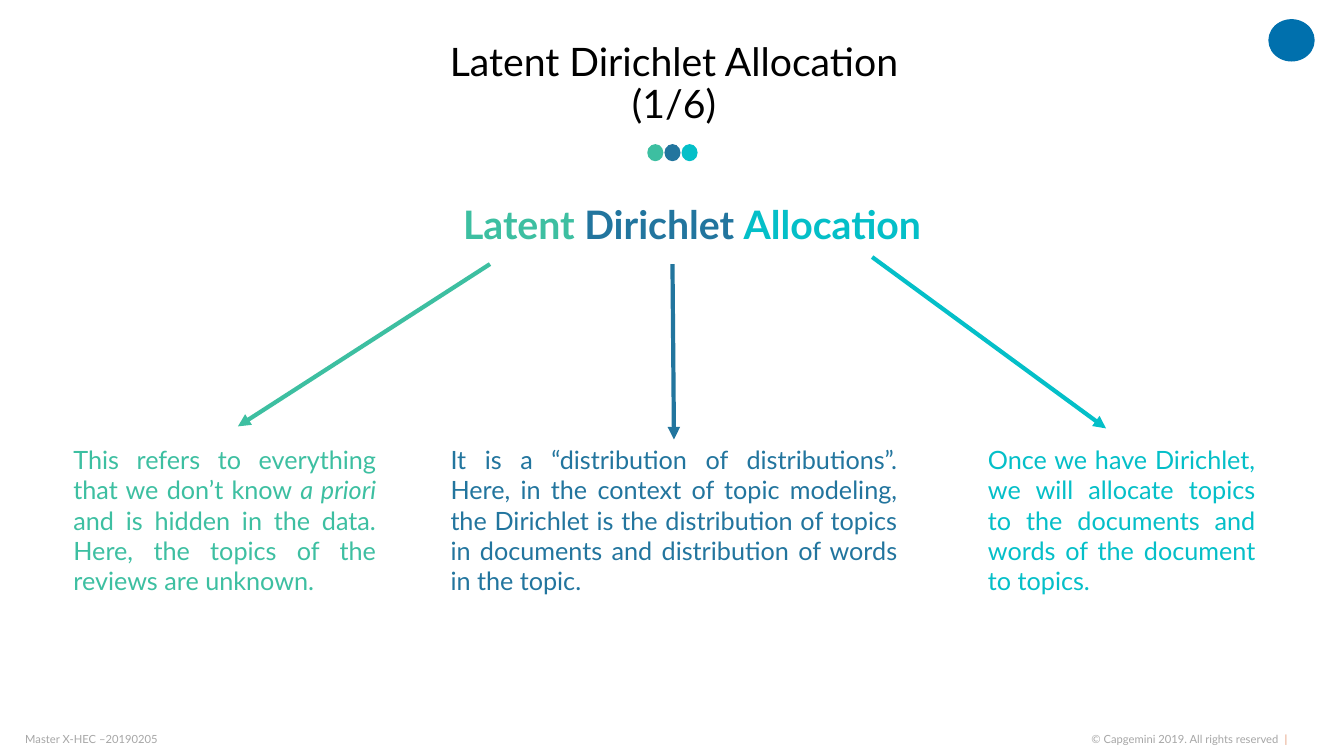
from dataclasses import dataclass
from typing import Optional

from lxml.etree import SubElement
from pptx import Presentation
from pptx.dml.color import RGBColor
from pptx.enum.shapes import MSO_CONNECTOR as Link, MSO_SHAPE as Form
from pptx.enum.text import MSO_ANCHOR as Anchor, MSO_AUTO_SIZE as Fit, PP_ALIGN as Align
from pptx.oxml.ns import qn
from pptx.shapes.autoshape import Shape
from pptx.util import Inches, Pt

GREEN = RGBColor(0x3D, 0xBF, 0xA1)
BLUE = RGBColor(0x22, 0x75, 0x9E)
CYAN = RGBColor(0x04, 0xBF, 0xC8)
BLACK = RGBColor(0, 0, 0)
GREY = RGBColor(0xA6, 0xA6, 0xA6)
ORANGE = RGBColor(0xE3, 0x97, 0x74)
NAVY = RGBColor(0x00, 0x70, 0xAD)
FONT = "Lato"
Point = tuple[float, float]
Area = tuple[float, float, float, float]


@dataclass
class Span:
    text: str
    color: RGBColor
    bold: bool = False
    italic: bool = False


@dataclass
class Label:
    area: Area
    spans: list[Span]
    size: int
    align: Align
    middle: bool = True
    inset: bool = True
    wrap: bool = True
    pitch: Optional[float] = None


@dataclass
class Branch:
    word: str
    color: RGBColor
    left: float
    width: float
    spans: list[Span]
    start: Point
    end: Point
    joined: bool = False


BRANCHES = [
    Branch("Latent ", GREEN, 0.63, 3.2, [
        Span("This refers to everything that we don’t know ", GREEN),
        Span("a priori ", GREEN, italic=True),
        Span("and is hidden in the data. Here, the topics of the reviews are unknown.", GREEN),
    ], (4.86, 2.62), (2.36, 4.23)),
    Branch("Dirichlet ", BLUE, 4.37, 4.63, [
        Span("It is a “distribution of distributions”. Here, in the context of topic "
             "modeling, the Dirichlet is the distribution of topics in documents and "
             "distribution of words in the topic.", BLUE),
    ], (6.67, 2.62), (6.69, 4.36), True),
    Branch("Allocation", CYAN, 9.7, 2.85, [
        Span("Once we have Dirichlet, we will allocate topics to the documents and "
             "words of the document to topics.", CYAN),
    ], (8.65, 2.55), (10.97, 4.25)),
]

LABELS = [
    Label((9.86, 7.27, 2.91, 0.13),
          [Span("© Capgemini 2019. All rights reserved  ", GREY), Span("|", ORANGE)],
          8, Align.RIGHT, inset=False),
    Label((0.25, 7.27, 5.16, 0.13), [Span("Master X-HEC –20190205", GREY)],
          8, Align.LEFT, inset=False, wrap=False),
    Label((0.45, 0.27, 12.47, 1.14), [Span("Latent Dirichlet Allocation\n(1/6)", BLACK)],
          28, Align.CENTER, pitch=0.9),
    Label((0.63, 1.68, 12.47, 1.14), [Span(b.word, b.color, bold=True) for b in BRANCHES],
          28, Align.CENTER, pitch=0.9),
]


def add_label(slide, label: Label) -> Shape:
    box = slide.shapes.add_textbox(*map(Inches, label.area))
    frame = box.text_frame
    frame.word_wrap = label.wrap
    frame.auto_size = Fit.NONE if label.middle else Fit.SHAPE_TO_FIT_TEXT
    frame.vertical_anchor = Anchor.MIDDLE if label.middle else Anchor.TOP
    if not label.inset:
        frame.margin_left = frame.margin_right = 0
        frame.margin_top = frame.margin_bottom = 0
    para = frame.paragraphs[0]
    para.alignment = label.align
    para.line_spacing = label.pitch
    para.font.size = Pt(label.size)
    for span in label.spans:
        count = len(para.runs)
        if count:
            para.add_run().text = span.text
        else:
            para.text = span.text
        for run in para.runs[count:]:
            font = run.font
            font.name = FONT
            font.size = Pt(label.size)
            font.bold = span.bold
            font.italic = span.italic
            font.color.rgb = span.color
    return box


def add_oval(slide, area: Area, color: RGBColor) -> None:
    oval = slide.shapes.add_shape(Form.OVAL, *map(Inches, area))
    oval.shadow.inherit = False
    oval.fill.solid()
    oval.fill.fore_color.rgb = color
    oval.line.fill.background()


def add_arrow(slide, branch: Branch, box: Shape) -> None:
    arrow = slide.shapes.add_connector(
        Link.STRAIGHT, *map(Inches, branch.start + branch.end))
    if branch.joined:
        arrow.end_connect(box, 0)
    arrow.line.color.rgb = branch.color
    arrow.line.width = Pt(3)
    props = arrow._element.spPr
    SubElement(props.find(qn("a:ln")), qn("a:tailEnd"), type="triangle")
    SubElement(props, qn("a:effectLst"))


def main() -> None:
    deck = Presentation()
    deck.slide_width = Inches(13.33)
    deck.slide_height = Inches(7.5)
    slide = deck.slides.add_slide(deck.slide_layouts[6])
    add_oval(slide, (12.58, 0.19, 0.46, 0.42), NAVY)
    for label in LABELS:
        add_label(slide, label)
    for i, branch in enumerate(BRANCHES):
        add_oval(slide, (6.42 + 0.17 * i, 1.43, 0.16, 0.17), branch.color)
        area = (branch.left, 4.36, branch.width, 1.62)
        box = add_label(slide, Label(area, branch.spans, 18, Align.JUSTIFY, middle=False))
        add_arrow(slide, branch, box)
    deck.save("out.pptx")


if __name__ == "__main__":
    main()
